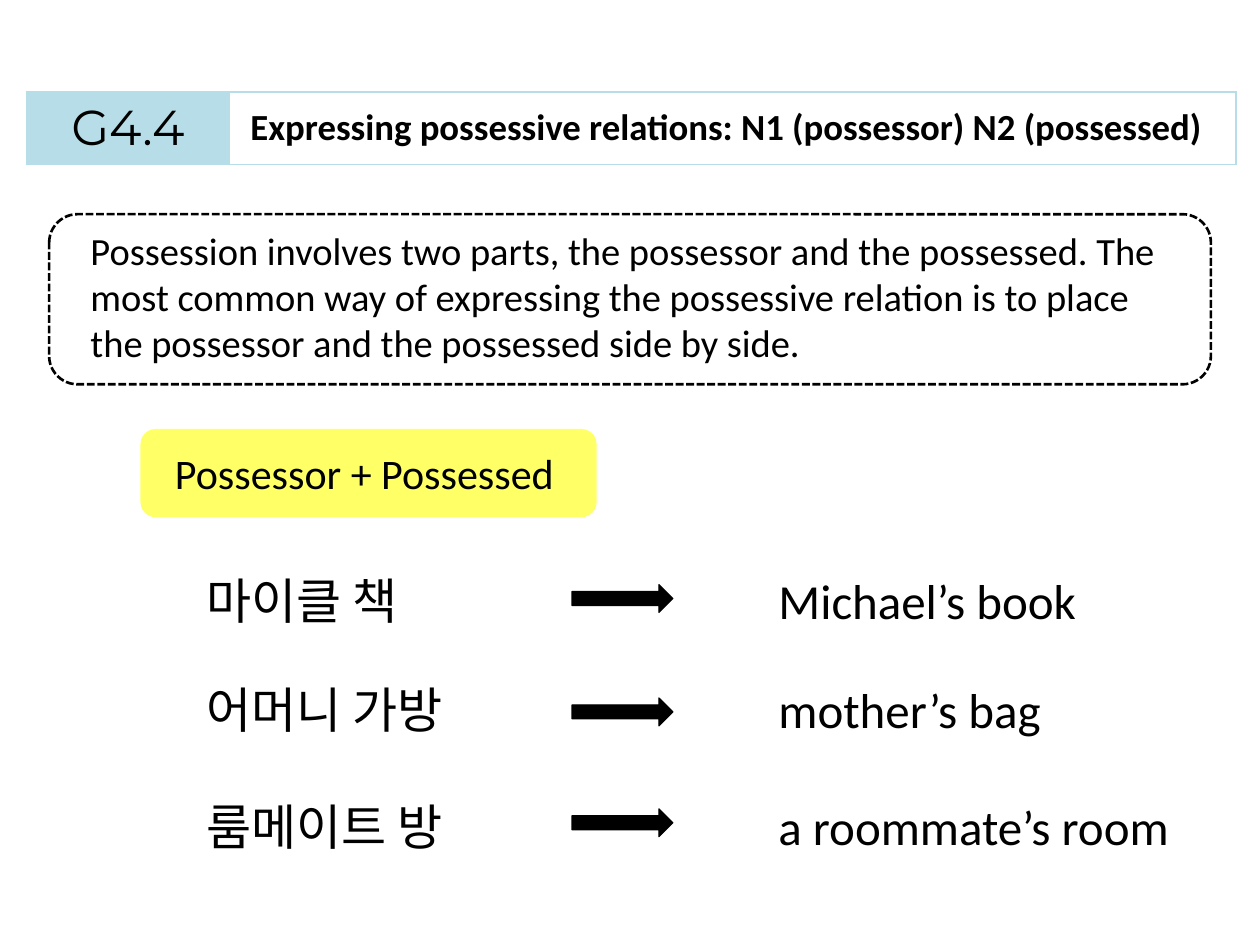
from lxml.etree import SubElement
from pptx import Presentation
from pptx.dml.color import RGBColor
from pptx.enum.dml import MSO_LINE
from pptx.enum.shapes import MSO_SHAPE
from pptx.enum.text import MSO_ANCHOR, MSO_AUTO_SIZE, PP_ALIGN
from pptx.oxml import parse_xml
from pptx.oxml.ns import nsdecls, qn
from pptx.util import Inches, Pt

COLS, ROWS = 100, 75
CELL = Inches(0.1)
BLACK, BLUE, YELLOW = "000000", "B7DEE8", "FFFF66"
LATIN, KOREAN, DISPLAY = "Calibri", "Noto Sans CJK KR", "Montserrat"
EXAMPLES = [
    (44.8, 46.4, "마이클 책", 17.9, "Michael’s book", 26.1),
    (53.4, 55.4, "어머니 가방", 21.6, "mother’s bag", 23.1),
    (62.7, 64.2, "룸메이트 방", 21.6, "a roommate’s room", 33.8),
]


def rgb(value):
    """Turn a hex string into a colour."""
    return RGBColor.from_string(value)


def grid(*cells):
    """Turn counts of grid columns and rows into lengths."""
    return [round(n * CELL) for n in cells]


def write(tf, text, size, font=LATIN, **formats):
    """Write one formatted run and return its paragraph."""
    p = tf.paragraphs[0]
    r = p.add_run()
    r.text = text
    for name, value in {"size": Pt(size), "name": font, **formats}.items():
        setattr(r.font, name, value)
    r.font.color.rgb = rgb(BLACK)
    SubElement(r.font._element, qn("a:ea"), typeface=font)
    return p


def add_text(s, box, text, size, font=LATIN, wrap=False):
    """Add a text box that grows with its text."""
    tf = s.shapes.add_textbox(*grid(*box)).text_frame
    tf.word_wrap = wrap
    tf.auto_size = MSO_AUTO_SIZE.SHAPE_TO_FIT_TEXT
    write(tf, text, size, font)


def add_panel(s, kind, box, fill=None, line=BLACK, width=0.75, dash=None):
    """Add a preset shape with a flat fill and outline."""
    sp = s.shapes.add_shape(kind, *grid(*box))
    sp.shadow.inherit = False
    if fill:
        sp.fill.solid()
        sp.fill.fore_color.rgb = rgb(fill)
    else:
        sp.fill.background()
    sp.line.color.rgb = rgb(line)
    sp.line.width = Pt(width)
    if dash:
        sp.line.dash_style = dash


def add_borders(cell, color, width):
    """Draw the four borders of a table cell."""
    for i, side in enumerate("LRTB"):
        cell._tc.get_or_add_tcPr().insert(i, parse_xml(
            f'<a:ln{side} {nsdecls("a")} w="{Pt(width)}"><a:solidFill>'
            f'<a:srgbClr val="{color}"/></a:solidFill></a:ln{side}>'))


def add_heading(s, number, title):
    """Add the heading table with its number and title cells."""
    table = s.shapes.add_table(1, 2, *grid(2.1, 7.3, 96, 5.5)).table
    for column, width in zip(table.columns, grid(16.1, 79.9)):
        column.width = width
    left, right = table.rows[0].cells
    left.fill.solid()
    left.fill.fore_color.rgb = rgb(BLUE)
    right.fill.background()
    right.vertical_anchor = MSO_ANCHOR.MIDDLE
    right.margin_right = Inches(0.2)
    for p in (write(left.text_frame, number, 28, DISPLAY, bold=False),
              write(right.text_frame, title, 21, bold=True)):
        p.alignment = PP_ALIGN.CENTER
    for cell in (left, right):
        add_borders(cell, BLUE, 1)


def add_example(s, top, arrow_top, korean, korean_width, english, english_width):
    """Add a Korean phrase, an arrow and its English meaning."""
    add_text(s, (15.4, top, korean_width, 5.7), korean, 28, KOREAN)
    add_panel(s, MSO_SHAPE.RIGHT_ARROW, (45.4, arrow_top, 8, 2.2), BLACK)
    add_text(s, (60.8, top, english_width, 5.7), english, 28)


def main():
    """Build and save the slide."""
    prs = Presentation()
    prs.slide_width, prs.slide_height = grid(COLS, ROWS)
    s = prs.slides.add_slide(prs.slide_layouts[6])
    add_heading(s, "G4.4",
                "Expressing possessive relations: N1 (possessor) N2 (possessed)")
    add_panel(s, MSO_SHAPE.ROUNDED_RECTANGLE, (3.9, 17, 92.2, 13.5),
              width=1.5, dash=MSO_LINE.SQUARE_DOT)
    add_text(s, (6.2, 17.5, 88.4, 12.1),
             "Possession involves two parts, the possessor and the possessed. "
             "The most common way of expressing the possessive relation is to "
             "place the possessor and the possessed side by side.", 22, wrap=True)
    add_panel(s, MSO_SHAPE.ROUNDED_RECTANGLE, (11.2, 34.1, 36.1, 6.9), YELLOW, YELLOW)
    add_text(s, (12.9, 35, 32.5, 5), "Possessor + Possessed", 24)
    for example in EXAMPLES:
        add_example(s, *example)
    prs.save("out.pptx")


if __name__ == "__main__":
    main()
